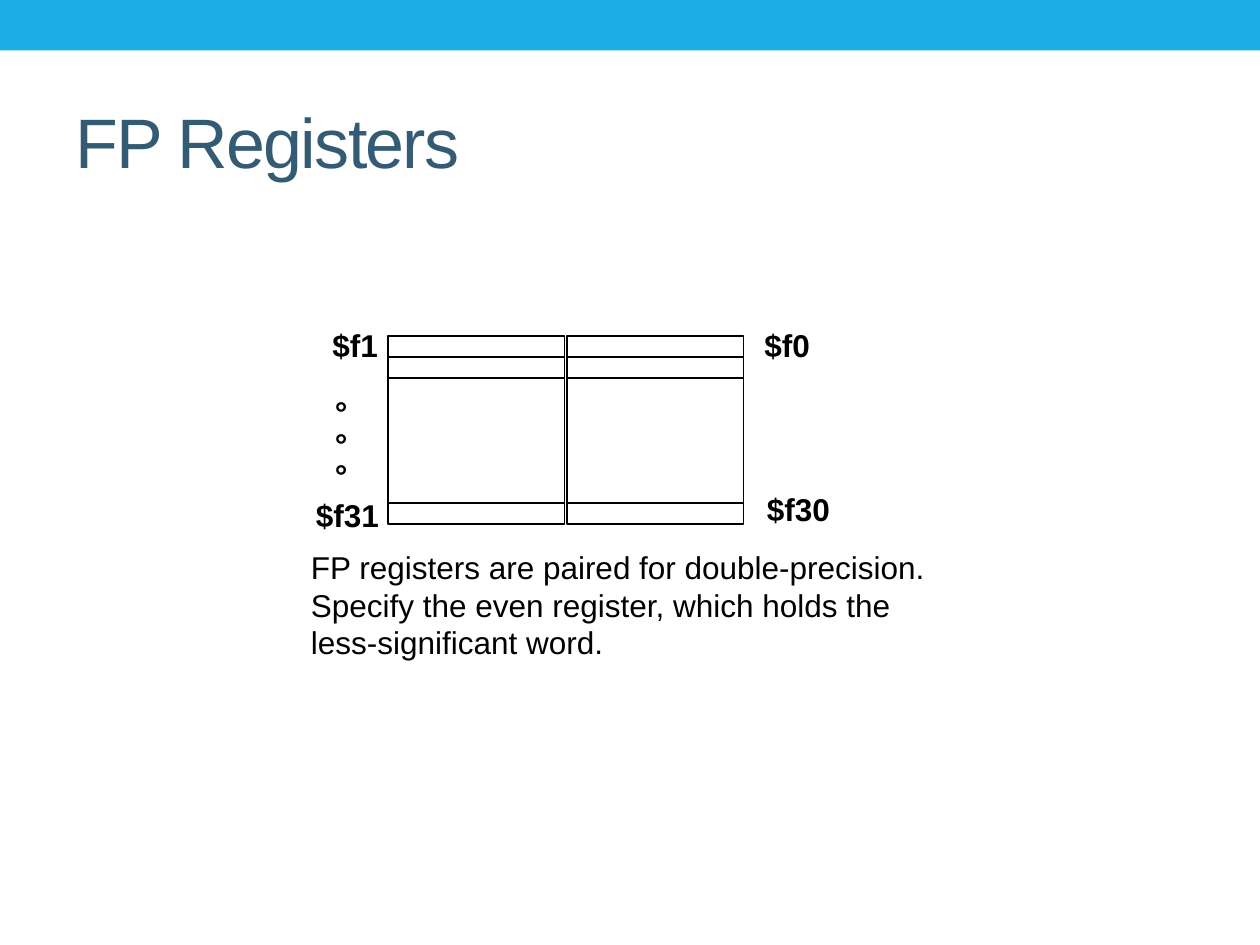
from dataclasses import dataclass

from lxml import etree
from pptx import Presentation
from pptx.dml.color import RGBColor
from pptx.enum.shapes import MSO_CONNECTOR, MSO_SHAPE
from pptx.enum.text import MSO_ANCHOR, MSO_AUTO_SIZE, PP_ALIGN
from pptx.oxml.ns import qn
from pptx.util import Cm, Pt

RECTANGLE = MSO_SHAPE.RECTANGLE
STRAIGHT = MSO_CONNECTOR.STRAIGHT
LEFT = PP_ALIGN.LEFT
MIDDLE = MSO_ANCHOR.MIDDLE
NO_FIT = MSO_AUTO_SIZE.NONE
GROW = MSO_AUTO_SIZE.SHAPE_TO_FIT_TEXT


@dataclass(frozen=True)
class Theme:
    accent: RGBColor = RGBColor.from_string("1CADE4")
    title: RGBColor = RGBColor.from_string("335B74")
    ink: RGBColor = RGBColor.from_string("000000")
    font: str = "Arial"
    title_size: Pt = Pt(40)
    body_size: Pt = Pt(18)
    rule: Pt = Pt(1)


THEME = Theme()
BODY = {"name": THEME.font, "size": THEME.body_size, "bold": False}
LABEL = {**BODY, "bold": True}
TITLE = {**BODY, "size": THEME.title_size}


def format_font(font, values, color):
    for name, value in values.items():
        setattr(font, name, value)
    font.color.rgb = color


def format_line(line):
    line.color.rgb = THEME.ink
    line.width = THEME.rule


def add_text(slide, text, box, values):
    shape = slide.shapes.add_textbox(*map(Cm, box))
    frame = shape.text_frame
    frame.word_wrap = False
    frame.auto_size = GROW
    paragraph = frame.paragraphs[0]
    paragraph.text = text
    for run in paragraph.runs:
        format_font(run.font, values, THEME.ink)


def add_banner(slide, box):
    shape = slide.shapes.add_shape(RECTANGLE, *map(Cm, box))
    shape.shadow.inherit = False
    shape.fill.solid()
    shape.fill.fore_color.rgb = THEME.accent
    shape.line.fill.background()


def add_title(slide, text, box):
    title = slide.shapes.title
    title.left, title.top, title.width, title.height = map(Cm, box)
    frame = title.text_frame
    frame.text = text
    frame.vertical_anchor = MIDDLE
    frame.auto_size = NO_FIT
    paragraph = frame.paragraphs[0]
    paragraph.alignment = LEFT
    run = paragraph.runs[0]
    format_font(run.font, TITLE, THEME.title)
    run._r.get_or_add_rPr().set("spc", "-100")


def add_register_bank(slide, box):
    left, top, width, height = box
    group = slide.shapes.add_group_shape()
    frame = group.shapes.add_shape(RECTANGLE, *map(Cm, box))
    frame.shadow.inherit = False
    frame.fill.background()
    format_line(frame.line)
    row = 0.42
    for offset in (row, 2 * row, height - row):
        y = Cm(top + offset)
        divider = group.shapes.add_connector(STRAIGHT, Cm(left), y, Cm(left + width), y)
        format_line(divider.line)
        etree.SubElement(divider._element.spPr, qn("a:effectLst"))


def add_register_file(slide, left, top):
    for offset in (1.7, 5.31):
        add_register_bank(slide, (left + offset, top + 0.33, 3.56, 3.78))
    dots = [("°", 0.38, 1.35 + 0.635 * index, 0.76) for index in range(3)]
    labels = [
        ("$f0", 9.04, 0, 1.42),
        ("$f1", 0.33, 0, 1.42),
        *dots,
        ("$f31", 0, 3.43, 1.78),
        ("$f30", 9.09, 3.3, 1.78),
    ]
    for text, x, y, width in labels:
        add_text(slide, text, (left + x, top + y, width, 1.02), LABEL)


def main():
    presentation = Presentation()
    presentation.slide_width = Cm(25.4)
    presentation.slide_height = Cm(19.05)
    slide = presentation.slides.add_slide(presentation.slide_layouts.get_by_name("Title Only"))
    add_banner(slide, (0, 0, 25.4, 1.02))
    add_title(slide, "FP Registers", (1.27, 1.47, 22.86, 2.74))
    add_register_file(slide, 6.12, 6.45)
    add_text(
        slide,
        "FP registers are paired for double-precision.\v"
        "Specify the even register, which holds the\v"
        "less-significant word.",
        (6.02, 10.92, 12.9, 2.54),
        BODY,
    )
    presentation.save("out.pptx")


if __name__ == "__main__":
    main()
